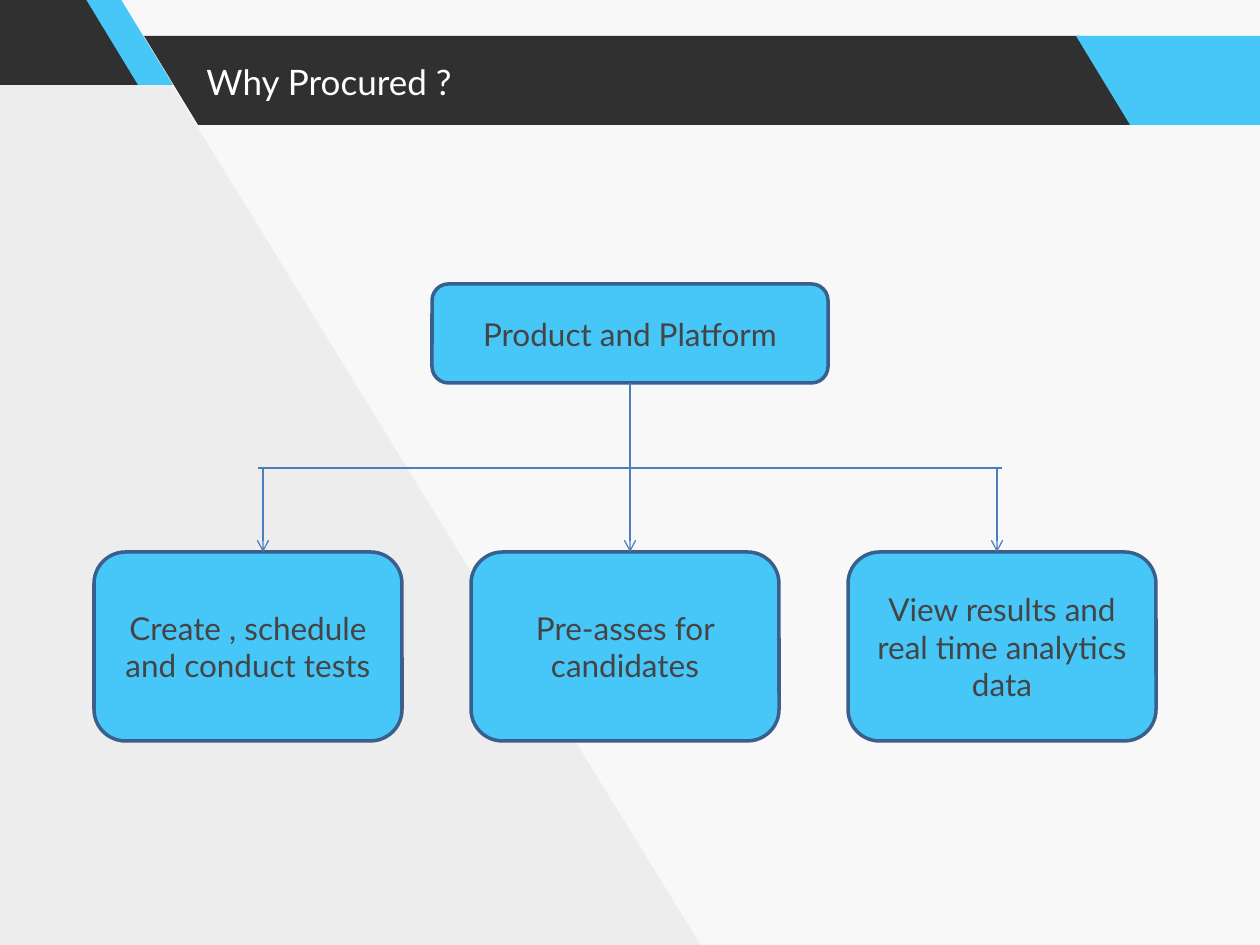
from lxml import etree
from pptx import Presentation
from pptx.dml.color import RGBColor
from pptx.enum.shapes import MSO_CONNECTOR, MSO_SHAPE
from pptx.enum.text import MSO_ANCHOR, MSO_AUTO_SIZE, PP_ALIGN
from pptx.oxml.ns import qn
from pptx.util import Pt

PX = 914400 / 126
W, H = 1260, 945
PARALLELOGRAM = MSO_SHAPE.PARALLELOGRAM
TRIANGLE = MSO_SHAPE.RIGHT_TRIANGLE
ROUNDED = MSO_SHAPE.ROUNDED_RECTANGLE
STRAIGHT = MSO_CONNECTOR.STRAIGHT
CENTER, MIDDLE = PP_ALIGN.CENTER, MSO_ANCHOR.MIDDLE
GROW = MSO_AUTO_SIZE.SHAPE_TO_FIT_TEXT

PAPER = RGBColor(0xF8, 0xF8, 0xF8)
DARK = RGBColor(0x30, 0x30, 0x30)
SKY = RGBColor(0x47, 0xC6, 0xF8)
BORDER = RGBColor(0x3A, 0x5F, 0x8C)
LINK = RGBColor(0x4B, 0x7E, 0xBC)
INK = RGBColor(0x44, 0x44, 0x44)
WHITE = RGBColor(0xFF, 0xFF, 0xFF)

TITLE_FONT = {"name": "Lato", "size": Pt(20)}
NODE_FONT = {"name": "Lato", "size": Pt(18)}
SLANT = 0.608
STEPS = [
    "Create , schedule and conduct tests",
    "Pre-asses for candidates",
    "View results and real time analytics data",
]


def emu(*lengths):
    """Turn px lengths into EMU."""
    return [round(n * PX) for n in lengths]


def write(tf, text, font, color):
    """Write one formatted paragraph and return it."""
    tf.word_wrap = True
    p = tf.paragraphs[0]
    r = p.add_run()
    r.text = text
    for key, value in font.items():
        setattr(r.font, key, value)
    r.font.color.rgb = color
    return p


def add_filled(s, kind, box, color):
    """Add a flat preset shape without outline."""
    sp = s.shapes.add_shape(kind, *emu(*box))
    sp.shadow.inherit = False
    sp.fill.solid()
    sp.fill.fore_color.rgb = color
    sp.line.fill.background()
    return sp


def add_band(s, box, color):
    """Add a parallelogram leaning to the left."""
    sp = add_filled(s, PARALLELOGRAM, box, color)
    sp.adjustments[0] = SLANT
    sp._element.spPr.xfrm.set("flipV", "1")


def add_shade(s, box):
    """Add the faint triangle on the left of the slide."""
    sp = add_filled(s, TRIANGLE, box, DARK)
    rgb = sp._element.spPr.find(qn("a:solidFill")).find(qn("a:srgbClr"))
    etree.SubElement(rgb, qn("a:alpha"), val="5000")


def add_corner(s, x, y, h):
    """Add the dark and blue bands of the top left corner."""
    add_band(s, (x, y, 258, h), DARK)
    add_band(s, (x + 199, y, h, h), SKY)


def add_title(s, x, y, text):
    """Add the title text on its bar."""
    tf = s.shapes.add_textbox(*emu(x, y, 903, 55)).text_frame
    write(tf, text, TITLE_FONT, WHITE)
    tf.auto_size = GROW


def add_node(s, box, text):
    """Add a rounded box with centred text."""
    sp = add_filled(s, ROUNDED, box, SKY)
    sp.line.color.rgb = BORDER
    sp.line.width = Pt(2)
    tf = sp.text_frame
    write(tf, text, NODE_FONT, INK).alignment = CENTER
    tf.vertical_anchor = MIDDLE
    return sp


def add_link(s, x1, y1, x2, y2, arrow=False):
    """Add a thin straight line, with an arrowhead if asked."""
    cxn = s.shapes.add_connector(STRAIGHT, *emu(x1, y1, x2, y2))
    cxn.line.color.rgb = LINK
    cxn.line.width = Pt(0.75)
    if arrow:
        etree.SubElement(cxn.line._get_or_add_ln(), qn("a:tailEnd"), type="arrow")
    etree.SubElement(cxn._element.spPr, qn("a:effectLst"))
    return cxn


def add_tree(s, x, y, w, h):
    """Add the root, its three steps and the links between them."""
    step_w, step_h, root_w, root_h = 308, 189, 396, 99
    pitch = (w - step_w) / (len(STEPS) - 1)
    mid, rail, top = W / 2, y + 184, y + h - step_h
    root = add_node(s, (mid - root_w / 2, y, root_w, root_h), "Product and Platform")
    for i, text in enumerate(STEPS):
        add_node(s, (x + i * pitch, top, step_w, step_h), text)
    add_link(s, mid, y + root_h, mid, top, arrow=True).begin_connect(root, 2)
    for side in (1, -1):
        add_link(s, mid, rail, mid + side * 372, rail)
        add_link(s, mid + side * 367, rail, mid + side * 367, top, arrow=True)


def main():
    """Build the slide and save it."""
    prs = Presentation()
    prs.slide_width, prs.slide_height = emu(W, H)
    s = prs.slides.add_slide(prs.slide_layouts[6])
    s.background.fill.solid()
    s.background.fill.fore_color.rgb = PAPER
    add_band(s, (144, 36, 991, 89), DARK)
    add_shade(s, (-5, -202, 873, 1419))
    add_corner(s, -115, -4, 89)
    add_band(s, (1076, 36, 258, 89), SKY)
    add_title(s, 194, 54, "Why Procured ?")
    add_tree(s, 94, 284, 1062, 457)
    prs.save("out.pptx")


if __name__ == "__main__":
    main()
